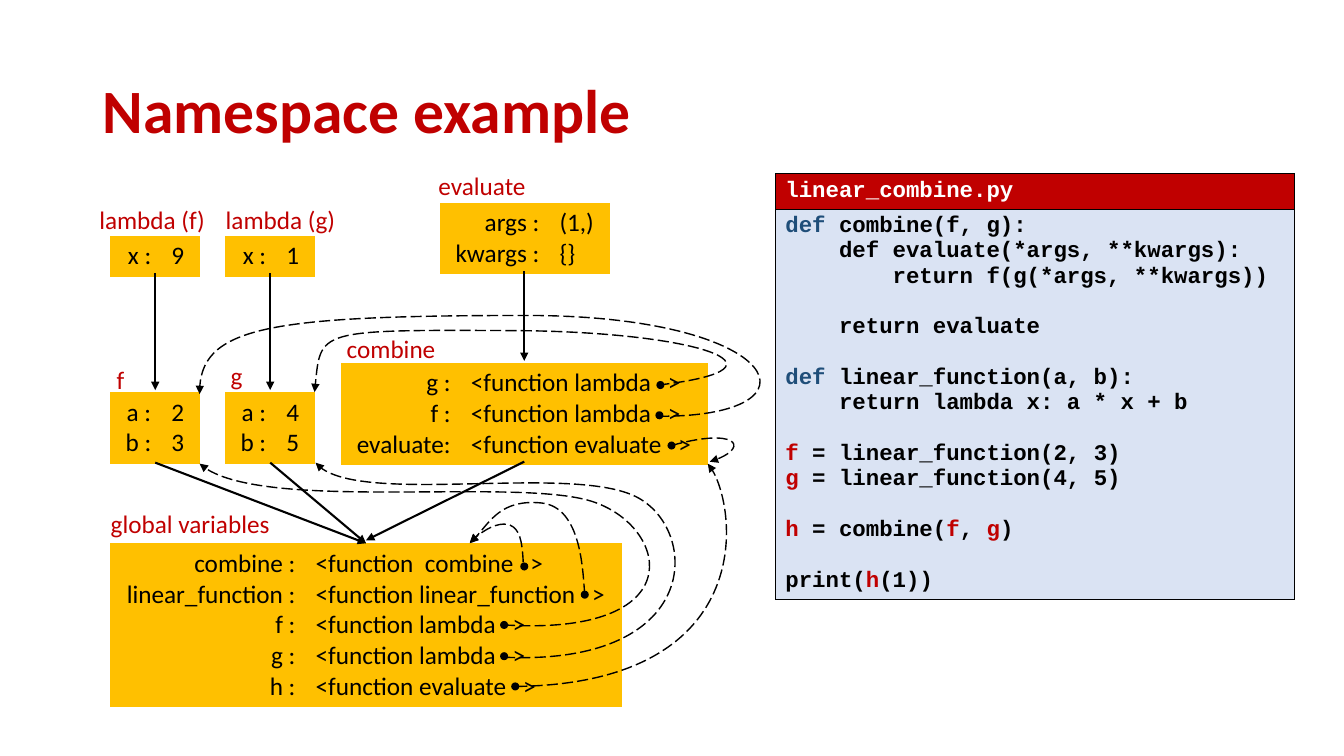
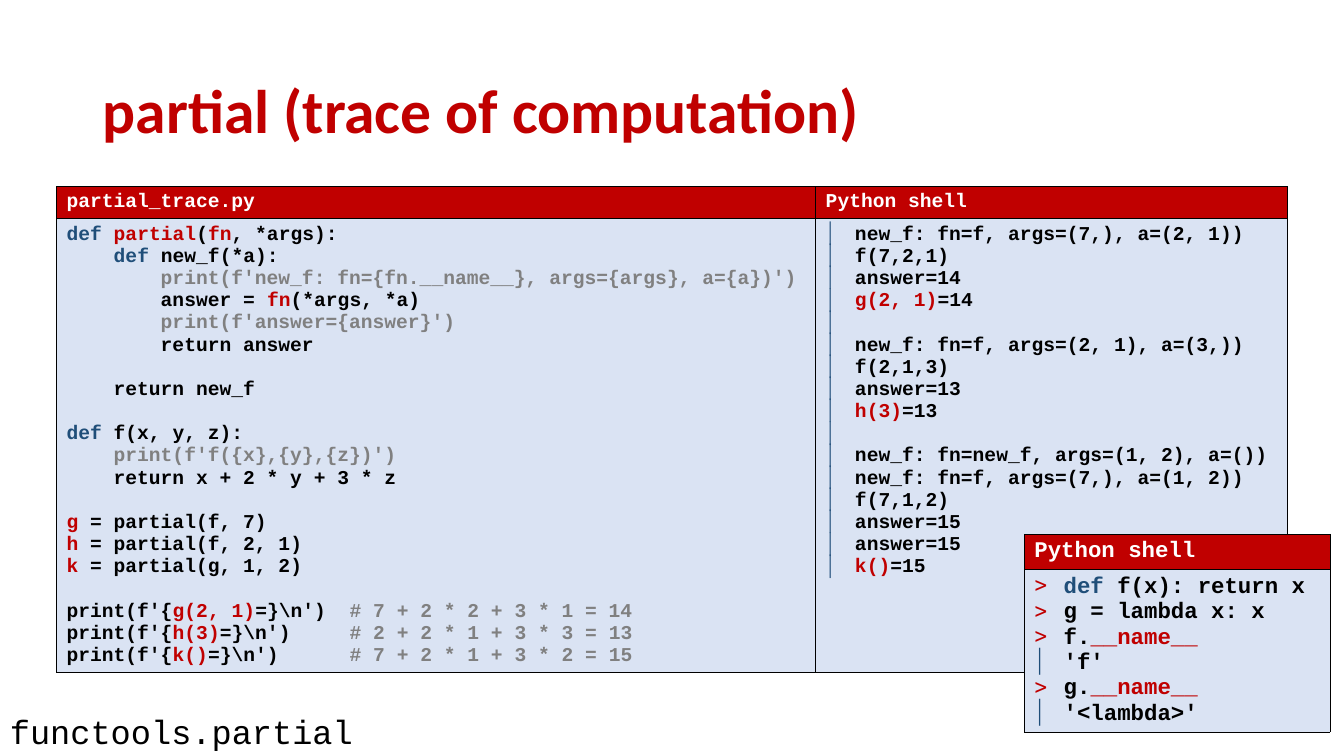
from lxml import etree
from pptx import Presentation
from pptx.dml.color import RGBColor
from pptx.enum import dml, shapes, text
from pptx.oxml.ns import qn
from pptx.util import Inches, Pt

RED, NAVY, GRAY, GOLD = "C00000", "1F4E79", "808080", "FFC000"
BLACK, WHITE, PALE = "000000", "FFFFFF", "DAE3F3"
INKS = {"r": RED, "n": NAVY, "g": GRAY}
SANS, MONO = "Calibri", "Courier New"
LINE_HEIGHT = {SANS: 1.2, MONO: 1.13}
PLAIN_TABLE = "{2D5ABB26-0587-4C30-8999-92F81FD0307C}"
LEFT, RIGHT = text.PP_ALIGN.LEFT, text.PP_ALIGN.RIGHT
rgb = RGBColor.from_string


def write(frame, lines, size, font, color=BLACK, bold=False, align=LEFT):
    """Write one paragraph per line.

    `r...` marks coloured words by a letter of INKS, a mark and a tab open a
    bulleted line, and an empty line becomes space before the next one.
    """
    gap = 0
    for number, line in enumerate(lines):
        if not line:
            gap = size * LINE_HEIGHT[font]
            continue
        para = frame.add_paragraph() if number else frame.paragraphs[0]
        para.alignment = align
        if gap:
            para.space_before, gap = Pt(gap), 0
        if "\t" in line:
            mark, line = line.split("\t")
            props = para._p.get_or_add_pPr()
            props.set("marL", str(Inches(0.29)))
            props.set("indent", str(Inches(-0.29)))
            tint = etree.SubElement(props, qn("a:buClr"))
            etree.SubElement(tint, qn("a:srgbClr"), val=RED if mark == ">" else NAVY)
            if mark == "|":
                etree.SubElement(props, qn("a:buSzPct"), val="120000")
            etree.SubElement(props, qn("a:buChar"), char=mark)
        for index, piece in enumerate(line.split("`")):
            ink = color
            if index % 2:
                ink, piece = INKS[piece[0]], piece[1:]
            if piece:
                span = para.add_run()
                span.text = piece
                span.font.size, span.font.name, span.font.bold = Pt(size), font, bold
                span.font.color.rgb = rgb(ink)


def add_grid(page, left, top, widths, rows, size, font):
    """Add a code listing (MONO, with header and borders) or a namespace (SANS)."""
    heights = [max(map(len, row)) * size * LINE_HEIGHT[font] / 72 + 0.1 for row in rows]
    table = page.shapes.add_table(
        len(rows), len(widths), Inches(left), Inches(top),
        Inches(sum(widths)), Inches(sum(heights))).table
    table.first_row = table.horz_banding = False
    table._tbl.tblPr.find(qn("a:tableStyleId")).text = PLAIN_TABLE
    for column, width in zip(table.columns, widths):
        column.width = Inches(width)
    for r, row in enumerate(rows):
        table.rows[r].height = Inches(heights[r])
        for c, lines in enumerate(row):
            cell = table.cell(r, c)
            if font == MONO:
                for side in ("a:lnL", "a:lnR", "a:lnT", "a:lnB"):
                    border = etree.SubElement(
                        cell._tc.get_or_add_tcPr(), qn(side), w=str(Pt(0.5)))
                    solid = etree.SubElement(border, qn("a:solidFill"))
                    etree.SubElement(solid, qn("a:srgbClr"), val=BLACK)
                fill, color = (PALE, BLACK) if r else (RED, WHITE)
                align = LEFT
            else:
                fill, color = GOLD, BLACK
                align = LEFT if c else RIGHT
            cell.fill.solid()
            cell.fill.fore_color.rgb = rgb(fill)
            write(cell.text_frame, lines, size, font, color, font == MONO, align)


deck = Presentation()
deck.slide_width, deck.slide_height = Inches(13.33), Inches(7.5)
pages = []
for heading in ("Namespace example", "partial (trace of computation)"):
    page = deck.slides.add_slide(deck.slide_layouts[5])
    title = page.shapes.title
    title.left, title.top, title.width, title.height = map(Inches, (0.92, 0.4, 11.5, 1.45))
    title.text_frame.vertical_anchor = text.MSO_ANCHOR.MIDDLE
    write(title.text_frame, [heading], 44, SANS, RED, True)
    title.text_frame.paragraphs[0].line_spacing = 0.9
    pages.append(page)
namespace_page, trace_page = pages

# Namespace example
combine_code = [
    "`ndef` combine(f, g):",
    "    def evaluate(*args, **kwargs):",
    "        return f(g(*args, **kwargs))",
    "",
    "    return evaluate",
    "",
    "`ndef `linear_function(a, b):",
    "    return lambda x: a * x + b",
    "",
    "`rf` = linear_function(2, 3)",
    "`rg` = linear_function(4, 5)",
    "",
    "`rh` = combine(`rf`, `rg`)",
    "",
    "print(`rh`(1))",
]
add_grid(namespace_page, 7.69, 1.72, [5.15], [[["linear_combine.py"]], [combine_code]], 16, MONO)

namespaces = [
    (1.09, 5.39, [1.94, 3.14],
     ["combine :", "linear_function :", "f :", "g :", "h :"],
     ["<function  combine   >", "<function linear_function   >",
      "<function lambda   >", "<function lambda   >", "<function evaluate   >"]),
    (1.09, 3.89, [0.51, 0.38], ["a :", "b :"], ["2", "3"]),
    (2.23, 3.89, [0.51, 0.38], ["a :", "b :"], ["4", "5"]),
    (3.38, 3.6, [1.19, 2.45], ["g :", "f :", "evaluate:"],
     ["<function lambda   >", "<function lambda   >", "<function evaluate   >"]),
    (4.36, 2.01, [1.09, 0.6], ["args :", "kwargs :"], ["(1,)", "{}"]),
    (2.23, 2.34, [0.51, 0.38], ["x :"], ["1"]),
    (1.09, 2.34, [0.51, 0.38], ["x :"], ["9"]),
]
for left, top, widths, names, values in namespaces:
    add_grid(namespace_page, left, top, widths, [[names, values]], 18, SANS)

labels = [
    ("global variables", 1, 4.99, 1.83, LEFT),
    ("f", 1.06, 3.57, 0.33, LEFT),
    ("g", 2.19, 3.53, 0.33, LEFT),
    ("combine", 3.34, 3.26, 1.12, LEFT),
    ("evaluate", 4.25, 1.64, 1.12, LEFT),
    ("lambda (g)", 2.14, 1.98, 1.49, LEFT),
    ("lambda (f)", 0.59, 1.98, 1.54, RIGHT),
]
for label, left, top, width, align in labels:
    box = namespace_page.shapes.add_textbox(
        Inches(left), Inches(top), Inches(width), Inches(0.4))
    box.text_frame.word_wrap = True
    write(box.text_frame, [label], 18, SANS, RED, align=align)

dots = [(5.16, 5.58), (5.76, 5.86), (4.96, 6.16), (4.96, 6.47), (5.07, 6.77),
        (6.51, 3.78), (6.5, 4.08), (6.62, 4.38)]
for left, top in dots:
    dot = namespace_page.shapes.add_shape(
        shapes.MSO_SHAPE.OVAL, Inches(left), Inches(top), Inches(0.08), Inches(0.08))
    dot.shadow.inherit = False
    dot.fill.solid()
    dot.fill.fore_color.rgb = rgb(BLACK)
    dot.line.fill.background()

arrows = []
parent_links = [
    (1.54, 4.59, 3.63, 5.39), (2.68, 4.59, 3.63, 5.39), (5.2, 4.58, 3.63, 5.36),
    (5.2, 2.69, 5.2, 3.58), (2.68, 2.71, 2.68, 3.87), (1.54, 2.71, 1.54, 3.87),
]
for ends in parent_links:
    arrow = namespace_page.shapes.add_connector(
        shapes.MSO_CONNECTOR.STRAIGHT, *map(Inches, ends))
    arrow.line.width = Pt(1.5)
    arrows.append(arrow)

# Each reference is a start point followed by three points per Bézier segment.
references = [
    [(5.19, 5.58), (5.18, 5.35), (5.15, 5.25), (5.06, 5.21),
     (4.98, 5.18), (4.83, 5.22), (4.66, 5.38)],
    [(5.8, 5.9), (5.78, 5.67), (5.77, 5.03), (5.37, 4.99),
     (4.97, 4.95), (4.83, 5.23), (4.66, 5.39)],
    [(5, 6.2), (6.96, 6.32), (6.61, 5.13), (5.78, 4.95),
     (4.95, 4.76), (2.5, 5.08), (1.98, 4.6)],
    [(5, 6.52), (7.02, 6.61), (6.94, 5.19), (6.27, 4.91),
     (5.59, 4.62), (3.48, 5.03), (3.13, 4.59)],
    [(5.12, 6.81), (7.5, 6.78), (7.31, 4.92), (7.02, 4.6)],
    [(6.53, 3.82), (7.99, 3.65), (6.9, 3.28), (5.02, 3.28),
     (3.15, 3.27), (3.18, 3.28), (3.12, 3.89)],
    [(6.53, 4.13), (8.22, 4.14), (7.78, 3.14), (5.26, 3.13),
     (2.74, 3.13), (1.96, 3.24), (1.98, 3.91)],
    [(6.66, 4.42), (7.29, 4.24), (7.46, 4.45), (7.04, 4.58)],
]
for points in references:
    points = [(Inches(x), Inches(y)) for x, y in points]
    segments = [points[i:i + 4] for i in range(0, len(points) - 1, 3)]
    # Points along the curve give the shape its tight frame.
    samples = []
    for segment in segments:
        for step in range(1, 21):
            t = step / 20
            weights = ((1 - t) ** 3, 3 * t * (1 - t) ** 2, 3 * t * t * (1 - t), t ** 3)
            samples.append(tuple(
                round(sum(w * point[axis] for w, point in zip(weights, segment)))
                for axis in (0, 1)))
    builder = namespace_page.shapes.build_freeform(*points[0])
    builder.add_line_segments(samples, close=False)
    arrow = builder.convert_to_shape()
    outline = next(arrow._element.iter(qn("a:path")))
    for straight in outline.findall(qn("a:lnTo")):
        outline.remove(straight)
    for segment in segments:
        curve = etree.SubElement(outline, qn("a:cubicBezTo"))
        for x, y in segment[1:]:
            etree.SubElement(curve, qn("a:pt"), x=str(x - arrow.left), y=str(y - arrow.top))
    arrow.fill.background()
    arrow.line.width = Pt(1)
    arrow.line.dash_style = dml.MSO_LINE.LONG_DASH
    arrows.append(arrow)

for arrow in arrows:
    arrow.line.color.rgb = rgb(BLACK)
    etree.SubElement(arrow.line._get_or_add_ln(), qn("a:tailEnd"), type="triangle")
    etree.SubElement(arrow._element.spPr, qn("a:effectLst"))

# Trace of partial
partial_code = [
    "`ndef `\u0060rpartial`(`rfn`, *args):".replace("``", "``"),
    "    `ndef `new_f(*a):",
    "`g        print(f'new_f: fn={fn.__name__}, args={args}, a={a})')`",
    "        answer = `rfn`(*args, *a)",
    "`g        print(f'answer={answer}')`",
    "        return answer",
    "",
    "    return new_f",
    "",
    "`ndef` f(x, y, z):",
    "`g    print(f'f({x},{y},{z})')`",
    "    return x + 2 * y + 3 * z",
    "",
    "`rg` = partial(f, 7)",
    "`rh` = partial(f, 2, 1)",
    "`rk` = partial(g, 1, 2)",
    "",
    r"print(f'{`rg(2, 1)`=}\n') `g # 7 + 2 * 2 + 3 * 1 = 14`",
    r"print(f'{`rh(3)`=}\n')     `g# 2 + 2 * 1 + 3 * 3 = 13`",
    r"print(f'{`rk()`=}\n')      `g# 7 + 2 * 1 + 3 * 2 = 15`",
]
trace_output = [
    "new_f: fn=f, args=(7,), a=(2, 1))", "f(7,2,1)", "answer=14", "`rg(2, 1)`=14", " ",
    "new_f: fn=f, args=(2, 1), a=(3,))", "f(2,1,3)", "answer=13", "`rh(3)`=13", " ",
    "new_f: fn=new_f, args=(1, 2), a=())", "new_f: fn=f, args=(7,), a=(1, 2))",
    "f(7,1,2)", "answer=15", "answer=15", "`rk()`=15",
]
add_grid(trace_page, 0.56, 1.85, [7.53, 4.68],
         [[["partial_trace.py"], ["Python shell"]],
          [partial_code, ["|\t" + line for line in trace_output]]], 14, MONO)

name_session = [
    ">\t`ndef` f(x): return x",
    ">\tg = lambda x: x",
    ">\tf.`r__name__`",
    "|\t'f'",
    ">\tg.`r__name__`",
    "|\t'<lambda>'",
]
add_grid(trace_page, 10.16, 5.3, [3.03], [[["Python shell"]], [name_session]], 16, MONO)

box = trace_page.shapes.add_textbox(Inches(0), Inches(7), Inches(3.63), Inches(0.5))
box.text_frame.word_wrap = False
box.text_frame.vertical_anchor = text.MSO_ANCHOR.MIDDLE
write(box.text_frame, ["functools.partial"], 24, MONO)

deck.save("out.pptx")
